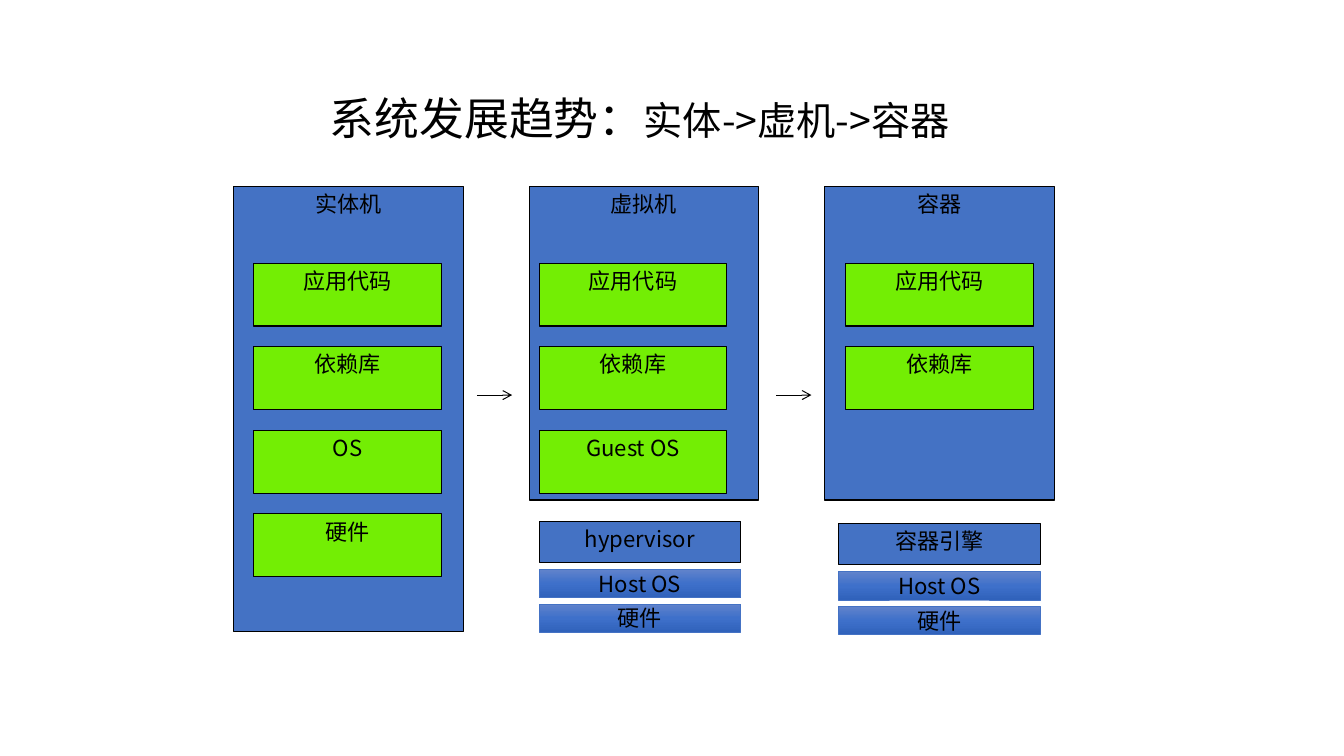
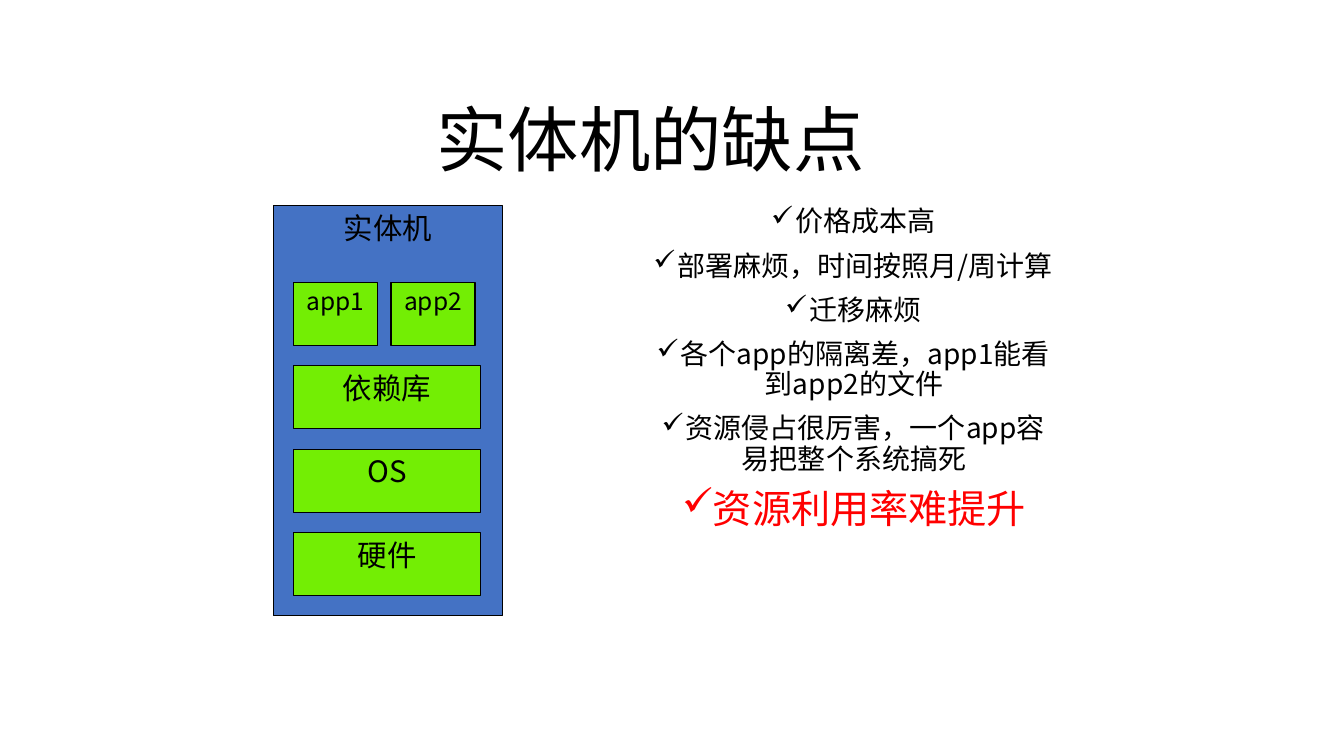
import copy

import lxml.etree
import pptx
import pptx.dml.color
import pptx.enum.shapes
import pptx.enum.text
import pptx.oxml.ns
import pptx.util

Pt = pptx.util.Pt
qn = pptx.oxml.ns.qn
CENTER = pptx.enum.text.PP_ALIGN.CENTER
ANCHOR = pptx.enum.text.MSO_ANCHOR
FONT = "Noto Sans CJK SC"
COLORS = {
    "black": "000000",
    "red": "FF0000",
    "blue": "4472C4",
    "green": "73EE04",
}
HOST_GRADIENT = [(0, "6183CB"), (0.5, "3E70CA"), (1, "3062BB")]
rgb = pptx.dml.color.RGBColor.from_string

PANEL_W, PANEL_TOP = 164, 133.2
LAYER_W, LAYER_H, LAYER_STEP, LAYER_OFFSET = 134, 45, 59.7, 54.7
HOST_W, ENGINE_H, HOST_H = 144, 29.5, 20.2


def add_run(p, text, size, color="black"):
    """Add a run that uses FONT for both Latin and Chinese text."""
    r = p.add_run()
    r.text = text
    r.font.size = Pt(size)
    r.font.name = FONT
    r.font.color.rgb = rgb(COLORS[color])
    ea = lxml.etree.SubElement(r.font._element, qn("a:ea"))
    ea.set("typeface", FONT)


def add_box(s, x, y, w, h, text, size, fill):
    """Add a labelled rectangle; fill is a colour name or "gradient"."""
    sp = s.shapes.add_shape(pptx.enum.shapes.MSO_SHAPE.RECTANGLE,
                            Pt(x), Pt(y), Pt(w), Pt(h))
    sp.shadow.inherit = False
    tf = sp.text_frame
    tf.margin_left = tf.margin_right = Pt(6.5)
    tf.margin_top = tf.margin_bottom = Pt(3)
    if fill == "gradient":
        sp.fill.gradient()
        sp.fill.gradient_angle = 270
        first = sp._element.spPr.find(".//" + qn("a:gs"))
        first.addnext(copy.deepcopy(first))
        for stop, (position, color) in zip(sp.fill.gradient_stops, HOST_GRADIENT):
            stop.position = position
            stop.color.rgb = rgb(color)
        sp.line.color.rgb = rgb(COLORS["blue"])
        sp.line.width = Pt(0.5)
        tf.vertical_anchor = ANCHOR.MIDDLE
    else:
        sp.fill.solid()
        sp.fill.fore_color.rgb = rgb(COLORS[fill])
        sp.line.color.rgb = rgb(COLORS["black"])
        sp.line.width = Pt(0.75)
        tf.vertical_anchor = ANCHOR.TOP
    p = tf.paragraphs[0]
    p.alignment = CENTER
    add_run(p, text, size)


prs = pptx.Presentation()
prs.slide_width, prs.slide_height = Pt(960), Pt(540)

# Slides and their titles: left, top, line spacing, runs
titles = [
    (196.6, 50.4, 0.9, [("系统发展趋势：", 32), ("实体->虚机->容器", 28)]),
    (204.5, 74.2, 0.7, [("实体机的缺点", 51)]),
]
for x, y, spacing, runs in titles:
    s = prs.slides.add_slide(prs.slide_layouts[6])
    tf = s.shapes.add_textbox(Pt(x), Pt(y), Pt(520.5), Pt(57)).text_frame
    tf.word_wrap = True
    tf.vertical_anchor = ANCHOR.BOTTOM
    p = tf.paragraphs[0]
    p.alignment = CENTER
    p.line_spacing = spacing
    for text, size in runs:
        add_run(p, text, size)
trend, drawbacks = prs.slides

# Trend: panel left, height, name, layer left, layers
panels = [
    (167, 318.2, "实体机", 181.4, ["应用代码", "依赖库", "OS", "硬件"]),
    (378, 224, "虚拟机", 385.2, ["应用代码", "依赖库", "Guest OS"]),
    (589, 224, "容器", 604.1, ["应用代码", "依赖库"]),
]
for x, h, name, layer_x, layers in panels:
    add_box(trend, x, PANEL_TOP, PANEL_W, h, name, 15.8, "blue")
    for i, layer in enumerate(layers):
        add_box(trend, layer_x, PANEL_TOP + LAYER_OFFSET + i * LAYER_STEP,
                LAYER_W, LAYER_H, layer, 15.8, "green")

# Host stacks below the virtual machine and the container
for x, y, engine in [(385.2, 372.2, "hypervisor"), (599, 373.9, "容器引擎")]:
    add_box(trend, x, y, HOST_W, ENGINE_H, engine, 15.8, "blue")
    for i, layer in enumerate(["Host OS", "硬件"]):
        add_box(trend, x, y + 34.5 + i * 24.7, HOST_W, HOST_H, layer, 15.8, "gradient")

# Arrows in the gaps between panels
for x in (340.6, 554.4):
    arrow = trend.shapes.add_connector(pptx.enum.shapes.MSO_CONNECTOR.STRAIGHT,
                                       Pt(x), Pt(282.2), Pt(x + 25.2), Pt(282.2))
    arrow.line.color.rgb = rgb(COLORS["black"])
    arrow.line.width = Pt(0.75)
    tail = lxml.etree.SubElement(arrow.line._get_or_add_ln(), qn("a:tailEnd"))
    tail.set("type", "arrow")
    lxml.etree.SubElement(arrow._element.spPr, qn("a:effectLst"))

# Drawbacks: check list
points = [
    ("价格成本高", 20, "black"),
    ("部署麻烦，时间按照月/周计算", 20, "black"),
    ("迁移麻烦", 20, "black"),
    ("各个app的隔离差，app1能看到app2的文件", 20, "black"),
    ("资源侵占很厉害，一个app容易把整个系统搞死", 20, "black"),
    ("资源利用率难提升", 28, "red"),
]
tf = drawbacks.shapes.add_textbox(Pt(458.6), Pt(144.7), Pt(303), Pt(303)).text_frame
tf.word_wrap = True
for i, (text, size, color) in enumerate(points):
    p = tf.add_paragraph() if i else tf.paragraphs[0]
    p.alignment = CENTER
    p.line_spacing = 0.9
    p.space_before = Pt(10)
    bullet = lxml.etree.SubElement(p._p.get_or_add_pPr(), qn("a:buChar"))
    bullet.set("char", "✓")
    add_run(p, text, size, color)

# Drawbacks: physical machine running two apps
x, y = 195.1, 146.9
add_box(drawbacks, x, y, PANEL_W, 293, "实体机", 21, "blue")
x, y = x + 14.4, y + LAYER_OFFSET
for i, app in enumerate(["app1", "app2"]):
    add_box(drawbacks, x + i * 69.8, y, 60, LAYER_H, app, 17.5, "green")
for i, layer in enumerate(["依赖库", "OS", "硬件"], start=1):
    add_box(drawbacks, x, y + i * LAYER_STEP, LAYER_W, LAYER_H, layer, 21, "green")

prs.save("out.pptx")
